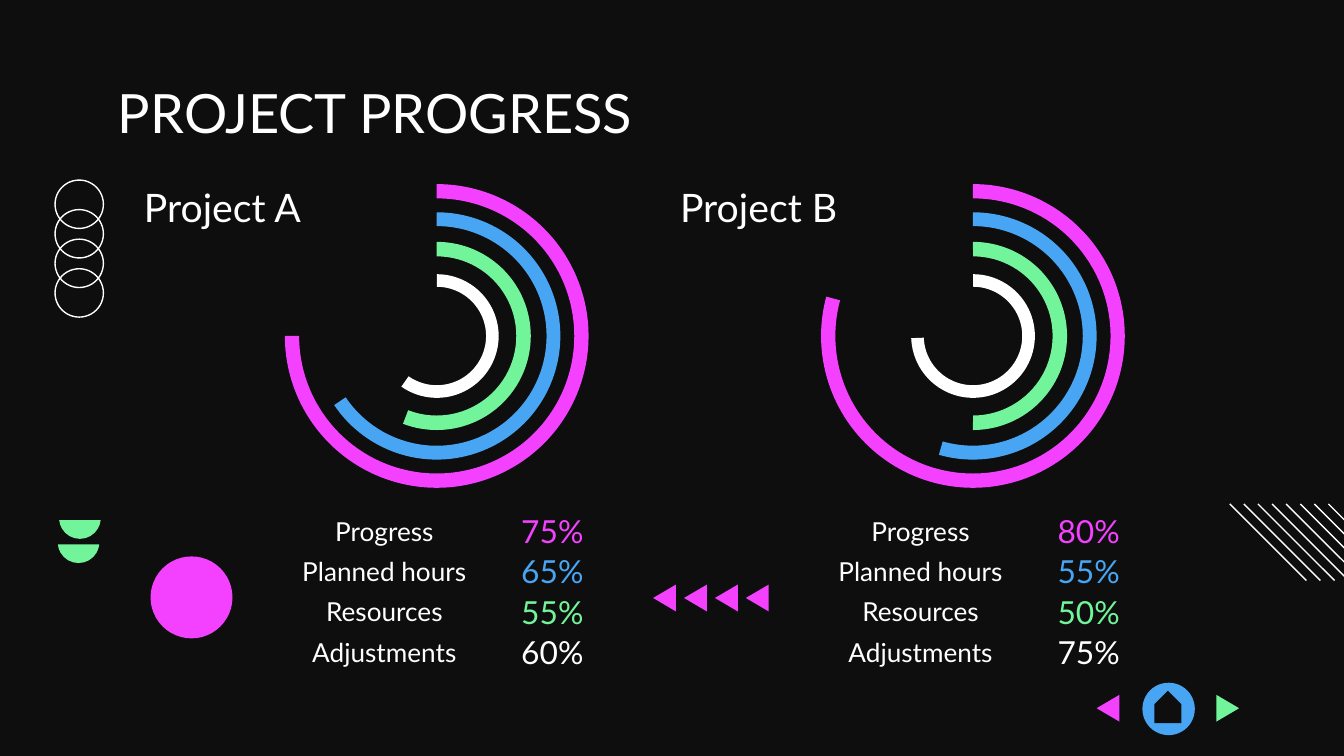
from lxml.etree import SubElement
from pptx import Presentation
from pptx.dml.color import RGBColor
from pptx.enum.shapes import MSO_CONNECTOR as Link, MSO_SHAPE as Kind
from pptx.enum.text import MSO_ANCHOR as Anchor, PP_ALIGN as Align
from pptx.oxml.ns import qn
from pptx.util import Inches, Pt

DARK, WHITE = "0E0E0E", "FFFFFF"
PINK, BLUE, GREEN = "F341FF", "47A5F3", "72F49A"
LABELS = ["Progress", "Planned hours", "Resources", "Adjustments"]
COLORS = [PINK, BLUE, GREEN, WHITE]
RINGS = [(2.26, 0.047), (1.84, 0.056), (1.4, 0.077), (0.92, 0.102)]
TURN = 0.6


def color(code):
    """Turn a hex string into a colour."""
    return RGBColor.from_string(code)


def paint(shape, fill=None, line=None):
    """Set fill and line of a shape and drop its shadow."""
    shape.shadow.inherit = False
    if fill:
        shape.fill.solid()
        shape.fill.fore_color.rgb = color(fill)
    else:
        shape.fill.background()
    if line:
        shape.line.color.rgb = color(line)
        shape.line.width = Pt(0.75)
    else:
        shape.line.fill.background()
    return shape


def add_form(slide, kind, x, y, w, h, fill=None, line=None):
    """Add a painted preset shape."""
    box = [Inches(v) for v in (x, y, w, h)]
    return paint(slide.shapes.add_shape(kind, *box), fill, line)


def add_text(slide, text, x, y, w, h, size=14, ink=WHITE,
             align=Align.LEFT, anchor=Anchor.MIDDLE, top=0.1):
    """Add a one-line text box."""
    box = slide.shapes.add_textbox(*[Inches(v) for v in (x, y, w, h)])
    frame = box.text_frame
    frame.word_wrap = True
    frame.vertical_anchor = anchor
    frame.margin_left = frame.margin_right = frame.margin_bottom = Inches(0.1)
    frame.margin_top = Inches(top)
    line = frame.paragraphs[0]
    line.alignment = align
    run = line.add_run()
    run.text = text
    run.font.name = "Lato"
    run.font.size = Pt(size)
    run.font.color.rgb = color(ink)


def add_arrow(slide, base, tip, y, fill):
    """Add a triangle that points sideways from base to tip."""
    pen = slide.shapes.build_freeform(Inches(base), Inches(y), scale=1.0)
    pen.add_line_segments([(Inches(tip), Inches(y + 0.1)),
                           (Inches(base), Inches(y + 0.2))])
    paint(pen.convert_to_shape(), fill)


def add_slash(slide, x, y, size):
    """Add a thin diagonal line."""
    link = slide.shapes.add_connector(
        Link.STRAIGHT, Inches(x), Inches(y), Inches(x + size), Inches(y + size))
    link.line.color.rgb = color(WHITE)
    link.line.width = Pt(0.75)
    SubElement(link._element.spPr, qn("a:effectLst"))


def add_ring(slide, mid, sweep, size, band, fill):
    """Add an arc that runs clockwise from the top through sweep degrees."""
    ring = add_form(slide, Kind.BLOCK_ARC, mid - size / 2, 2.5 - size / 2,
                    size, size, fill)
    ring.adjustments[0] = 270 * TURN
    ring.adjustments[1] = (270 + sweep) % 360 * TURN
    ring.adjustments[2] = band


def add_project(slide, name, left, shares, sweeps):
    """Add a project's heading, rings and legend."""
    add_text(slide, name, left, 1.36, 1.63, 0.36, size=21, align=Align.CENTER)
    for (size, band), sweep, ink in zip(RINGS, sweeps, COLORS):
        add_ring(slide, left + 2.41, sweep, size, band, ink)
    for row, (label, share, ink) in enumerate(zip(LABELS, shares, COLORS)):
        y = 3.8 + 0.3 * row
        add_text(slide, f"{share}%", left + 2.94, y, 0.78, 0.3, size=17, ink=ink)
        add_text(slide, label, left + 1.1, y, 1.84, 0.3, align=Align.CENTER)


def add_decor(slide):
    """Add the ornaments at the slide's edges."""
    for x, y in [(0.43, 3.88), (0.44, 3.7)]:
        bowl = add_form(slide, Kind.CHORD, x, y, 0.31, 0.31, GREEN)
        bowl.adjustments[0] = 6 * TURN
        bowl.adjustments[1] = 174 * TURN
    for i in range(4):
        add_form(slide, Kind.OVAL, 0.41, 1.34 + 0.22 * i, 0.36, 0.36, line=WHITE)
    for i in range(8):
        add_slash(slide, 9.15 + 0.105 * i, 3.75, 0.57)


def add_marks(slide):
    """Add the pink dot and the row of arrows."""
    add_form(slide, Kind.OVAL, 1.12, 4.14, 0.61, 0.61, PINK)
    for i in range(4):
        add_arrow(slide, 5.03 + 0.23 * i, 4.86 + 0.23 * i, 4.35, PINK)


def add_nav(slide):
    """Add the back, home and next buttons."""
    add_form(slide, Kind.OVAL, 8.5, 5.08, 0.39, 0.39, BLUE)
    home = add_form(slide, Kind.PENTAGON, 8.57, 5.16, 0.24, 0.2, DARK)
    home.rotation = 270
    add_arrow(slide, 8.33, 8.16, 5.17, PINK)
    add_arrow(slide, 9.05, 9.22, 5.17, GREEN)


def main():
    """Build and save the slide."""
    deck = Presentation()
    deck.slide_width, deck.slide_height = Inches(10), Inches(5.625)
    slide = deck.slides.add_slide(deck.slide_layouts[6])
    slide.background.fill.solid()
    slide.background.fill.fore_color.rgb = color(DARK)
    add_decor(slide)
    add_text(slide, "PROJECT PROGRESS", 0.78, 0.59, 8.44, 0.46, size=29,
             anchor=Anchor.TOP, top=0)
    add_project(slide, "Project A", 0.84, [75, 65, 55, 60], [270, 236, 201, 215])
    add_project(slide, "Project B", 4.83, [80, 55, 50, 75], [285, 196, 180, 268])
    add_marks(slide)
    add_nav(slide)
    deck.save("out.pptx")


if __name__ == "__main__":
    main()
